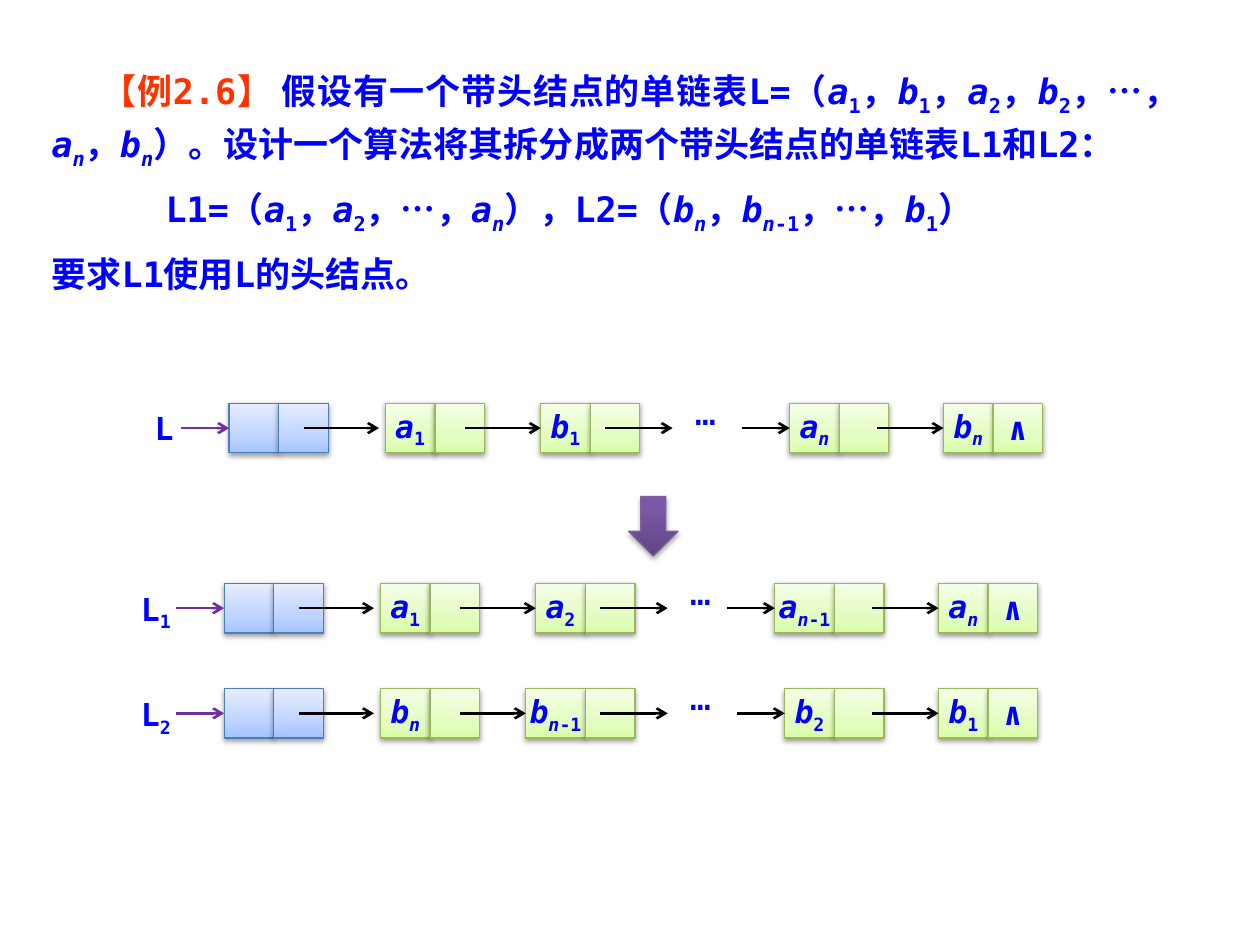
from dataclasses import dataclass
from itertools import groupby

from pptx import Presentation
from pptx.dml.color import RGBColor as RGB
from pptx.enum.shapes import MSO_CONNECTOR as LINK, MSO_SHAPE as SHAPE
from pptx.enum.text import MSO_ANCHOR as ANCHOR, MSO_AUTO_SIZE as AUTO, PP_ALIGN as ALIGN
from pptx.oxml import parse_xml
from pptx.oxml.ns import nsdecls, qn
from pptx.util import Cm, Pt


@dataclass(frozen=True)
class Theme:
    font: str = "DejaVu Sans Mono"
    alt: str = "Arial"
    body: int = 20
    small: int = 18
    text: str = "0000FF"
    mark: str = "FF3300"
    link: str = "000000"
    entry: str = "7030A0"
    # Each paint is a line colour and gradient stops from bottom to top.
    blue: tuple = ("4B7EBC", ((0, "A4C4FF"), (35, "BFD4FF"), (100, "E6EEFF")))
    green: tuple = ("98B955", ((0, "DAFDA7"), (35, "E4FCC2"), (100, "F5FFE7")))
    purple: tuple = ("7D60A0", ((0, "5F4480"), (80, "7B58A6"), (100, "7C57A8")))


T = Theme()
CELL, WIDE = 1.0, 1.2
POINTERS = (4.15, 7.28, 12.3, 15.4)  # left sides of the pointer cells


def add_run(par, text, size, bold=True, italic=False, sub=False):
    run = par.add_run()
    run.text = text
    font = run.font
    font.name, font.size = T.font, Pt(size)
    font.bold, font.italic = bold, italic
    font.color.rgb = RGB.from_string(T.text)
    if sub:
        run._r.get_or_add_rPr().set("baseline", "-25000")
    return font


def write(par, text, size, bold=True):
    """Write text in which {a1} is a variable with its subscript."""
    par.space_before = Pt(size / 2)
    for i, part in enumerate(text.replace("}", "{").split("{")):
        if not part:
            continue
        if i % 2 == 0 or part == "…":
            font = add_run(par, part, size, bold)
            if i % 2:
                font.name = T.alt
            if part.startswith("【"):
                font.color.rgb = RGB.from_string(T.mark)
            continue
        add_run(par, part[0], size, italic=part[0].islower())
        for letter, chars in groupby(part[1:], str.isalpha):
            add_run(par, "".join(chars), size, italic=letter, sub=True)


def add_box(slide, x, y, w, h, wrap=True):
    box = slide.shapes.add_textbox(Cm(x), Cm(y), Cm(w), Cm(h))
    box.text_frame.word_wrap = wrap
    box.text_frame.auto_size = AUTO.SHAPE_TO_FIT_TEXT
    return box.text_frame


def add_solid(slide, kind, x, y, w, h, paint, alpha=38):
    """Add a shape with a gradient, a thin line and a soft shadow below."""
    shape = slide.shapes.add_shape(kind, Cm(x), Cm(y), Cm(w), Cm(h))
    edge, stops = paint
    shape.fill.gradient()
    shape.fill.gradient_angle = 90
    props = shape._element.spPr
    ramp = props.find(qn("a:gradFill")).find(qn("a:gsLst"))
    for stop in list(ramp):
        ramp.remove(stop)
    for pos, color in stops:
        ramp.append(parse_xml(
            f'<a:gs {nsdecls("a")} pos="{pos * 1000}"><a:srgbClr val="{color}"/></a:gs>'))
    shape.line.color.rgb = RGB.from_string(edge)
    shape.line.width = Pt(0.75)
    shape.shadow.inherit = False
    props.find(qn("a:effectLst")).append(parse_xml(
        f'<a:outerShdw {nsdecls("a")} blurRad="{Pt(3.1)}" dist="{Pt(1.6)}" dir="5400000" '
        f'rotWithShape="0"><a:srgbClr val="000000"><a:alpha val="{alpha * 1000}"/>'
        '</a:srgbClr></a:outerShdw>'))
    return shape


def add_cell(slide, x, y, w, paint, text=""):
    cell = add_solid(slide, SHAPE.RECTANGLE, x, y, w, CELL, paint)
    if text:
        frame = cell.text_frame
        frame.word_wrap, frame.vertical_anchor = False, ANCHOR.MIDDLE
        frame.paragraphs[0].alignment = ALIGN.CENTER
        write(frame.paragraphs[0], text, T.small)
    return cell


def add_arrow(slide, x, end, y, color=T.link, goal=None):
    line = slide.shapes.add_connector(LINK.STRAIGHT, Cm(x), Cm(y), Cm(end), Cm(y))
    if goal is not None:
        line.end_connect(goal, 1)
    line.line.color.rgb = RGB.from_string(color)
    line.line.width = Pt(1.5)
    line.line._get_or_add_ln().append(parse_xml(f'<a:tailEnd {nsdecls("a")} type="arrow"/>'))
    line._element.spPr.append(parse_xml(f'<a:effectLst {nsdecls("a")}/>'))


def add_chain(slide, x, y, name, lead, names):
    """Draw a linked list whose head node has its corner at x, y."""
    mid = y + CELL / 2
    head = add_cell(slide, x, y, CELL, T.blue)
    add_cell(slide, x + CELL, y, CELL, T.blue)
    add_arrow(slide, x - 0.97, x, mid, T.entry, head)
    label = add_box(slide, x - lead, y, 1.55, 1.02, wrap=False)
    write(label.paragraphs[0], name, T.small)

    nodes = []
    for text, at in zip(names, POINTERS):
        width = WIDE if "-" in text else CELL
        left = x + at - width
        nodes.append((left, add_cell(slide, left, y, width, T.green, text)))
        last = at == POINTERS[-1]
        add_cell(slide, x + at, y, CELL, T.green, "∧" if last else "")

    second, third, fourth = nodes[1:]
    first_at, second_at, third_at, _ = (x + at for at in POINTERS)
    add_arrow(slide, x + 1.5, x + 3.02, mid)
    add_arrow(slide, first_at + 0.6, second[0], mid, goal=second[1])
    add_arrow(slide, second_at + 0.3, x + 8.94, mid)
    add_arrow(slide, third[0] - 0.97, third[0], mid, goal=third[1])
    add_arrow(slide, third_at + 0.76, fourth[0], mid, goal=fourth[1])
    dots = add_box(slide, x + 9.14, y - 0.38, 1.1, 1.27)
    write(dots.paragraphs[0], "…", T.body, bold=False)


def add_task(slide, x, y, w, h):
    frame = add_box(slide, x, y, w, h)
    rows = (
        (1, "【例2.6】 {}假设有一个带头结点的单链表L=（{a1}，{b1}，{a2}，{b2}，…，{an}，{bn}）。"
            "设计一个算法将其拆分成两个带头结点的单链表L1和L2："),
        (2.3, "L1=（{a1}，{a2}，{…}，{an}），L2=（{bn}，{bn-1}，{…}，{b1}）"),
        (0, "要求L1使用L的头结点。"),
    )
    for i, (indent, text) in enumerate(rows):
        par = frame.add_paragraph() if i else frame.paragraphs[0]
        par.alignment = ALIGN.JUSTIFY
        par._p.get_or_add_pPr().set("indent", str(Cm(indent)))
        write(par, text, T.body)
    frame.paragraphs[0].line_spacing = Pt(30)


def main():
    deck = Presentation()
    deck.slide_width, deck.slide_height = Cm(25.4), Cm(19.05)
    slide = deck.slides.add_slide(deck.slide_layouts[6])
    add_task(slide, 0.79, 1.19, 23.22, 4.95)
    add_chain(slide, 4.62, 8.13, "L", 1.75, ("{a1}", "{b1}", "{an}", "{bn}"))
    add_solid(slide, SHAPE.DOWN_ARROW, 12.67, 10.01, 1, 1.2, T.purple, alpha=35)
    add_chain(slide, 4.52, 11.76, "{L1}", 1.93, ("{a1}", "{a2}", "{an-1}", "{an}"))
    add_chain(slide, 4.52, 13.88, "{L2}", 1.93, ("{bn}", "{bn-1}", "{b2}", "{b1}"))
    deck.save("out.pptx")


if __name__ == "__main__":
    main()
